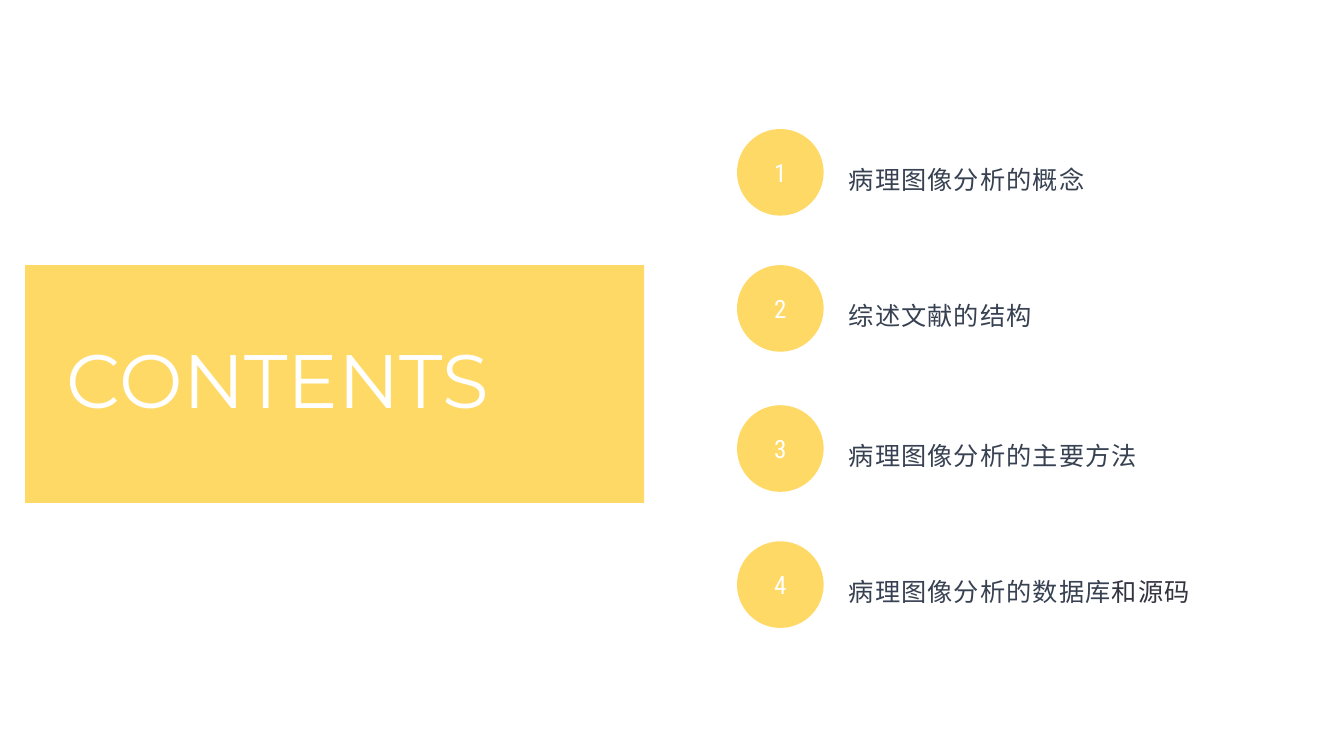
"""Build a contents slide with a title banner and four numbered topics."""
from dataclasses import dataclass

from lxml import etree
from pptx import Presentation
from pptx.dml.color import RGBColor
from pptx.enum import shapes, text
from pptx.oxml import ns
from pptx.util import Inches, Pt

YELLOW, WHITE, SLATE, CHARCOAL = "FFD966", "FFFFFF", "374151", "343541"
CIRCLE_LEFT, CIRCLE_SIZE = 7.31, 0.86
LABEL_LEFT, LABEL_DROP = 8.32, 0.15


@dataclass(frozen=True)
class Topic:
    top: float
    label: str
    ending: str = ""
    width: float = 3.31
    height: float = 0.55


TOPICS = [
    Topic(1.28, "病理图像分析的概念"),
    Topic(2.63, "综述文献的结构"),
    Topic(4.02, "病理图像分析的主要方法"),
    Topic(5.37, "病理图像分析的数据库", "和源码", 3.69, 1.01),
]


def color(value: str) -> RGBColor:
    return RGBColor.from_string(value)


def style_run(run, font: str, size: float, fill: str, spacing: float = 0) -> None:
    run.font.name = font
    run.font.size = Pt(size)
    run.font.color.rgb = color(fill)
    properties = run.font._element
    etree.SubElement(properties, ns.qn("a:ea")).set("typeface", font)
    if spacing:
        properties.set("spc", str(round(spacing * 100)))


def add_filled(slide, kind, left: float, top: float, width: float, height: float):
    shape = slide.shapes.add_shape(
        kind, Inches(left), Inches(top), Inches(width), Inches(height))
    shape.shadow.inherit = False
    shape.fill.solid()
    shape.fill.fore_color.rgb = color(YELLOW)
    shape.line.fill.background()
    return shape


def add_text(slide, left: float, top: float, width: float, height: float, wording: str):
    box = slide.shapes.add_textbox(
        Inches(left), Inches(top), Inches(width), Inches(height))
    box.text_frame.word_wrap = True
    box.text_frame.text = wording
    return box.text_frame


def add_banner(slide) -> None:
    add_filled(slide, shapes.MSO_SHAPE.RECTANGLE, 0.25, 2.63, 6.14, 2.36)
    frame = add_text(slide, 0.56, 3.25, 5.7, 1.01, "CONTENTS")
    frame.auto_size = text.MSO_AUTO_SIZE.SHAPE_TO_FIT_TEXT
    style_run(frame.paragraphs[0].runs[0], "Montserrat", 54, WHITE)


def add_topic(slide, number: int, topic: Topic) -> None:
    circle = add_filled(slide, shapes.MSO_SHAPE.OVAL, CIRCLE_LEFT, topic.top,
                        CIRCLE_SIZE, CIRCLE_SIZE)
    circle.text_frame.text = str(number)
    circle.text_frame.vertical_anchor = text.MSO_ANCHOR.MIDDLE
    paragraph = circle.text_frame.paragraphs[0]
    paragraph.alignment = text.PP_ALIGN.CENTER
    style_run(paragraph.runs[0], "Roboto Condensed", 18, WHITE)

    frame = add_text(slide, LABEL_LEFT, topic.top + LABEL_DROP,
                     topic.width, topic.height, topic.label)
    paragraph = frame.paragraphs[0]
    paragraph.line_spacing = 1.5
    if topic.ending:
        paragraph.add_run().text = topic.ending
    else:
        frame.auto_size = text.MSO_AUTO_SIZE.SHAPE_TO_FIT_TEXT
    for run, fill in zip(paragraph.runs, (SLATE, CHARCOAL)):
        style_run(run, "Noto Sans CJK SC", 18, fill, spacing=0.8)


def main() -> None:
    presentation = Presentation()
    presentation.slide_width = Inches(13.33)
    presentation.slide_height = Inches(7.5)
    slide = presentation.slides.add_slide(presentation.slide_layouts[6])
    add_banner(slide)
    for number, topic in enumerate(TOPICS, start=1):
        add_topic(slide, number, topic)
    presentation.save("out.pptx")


if __name__ == "__main__":
    main()
